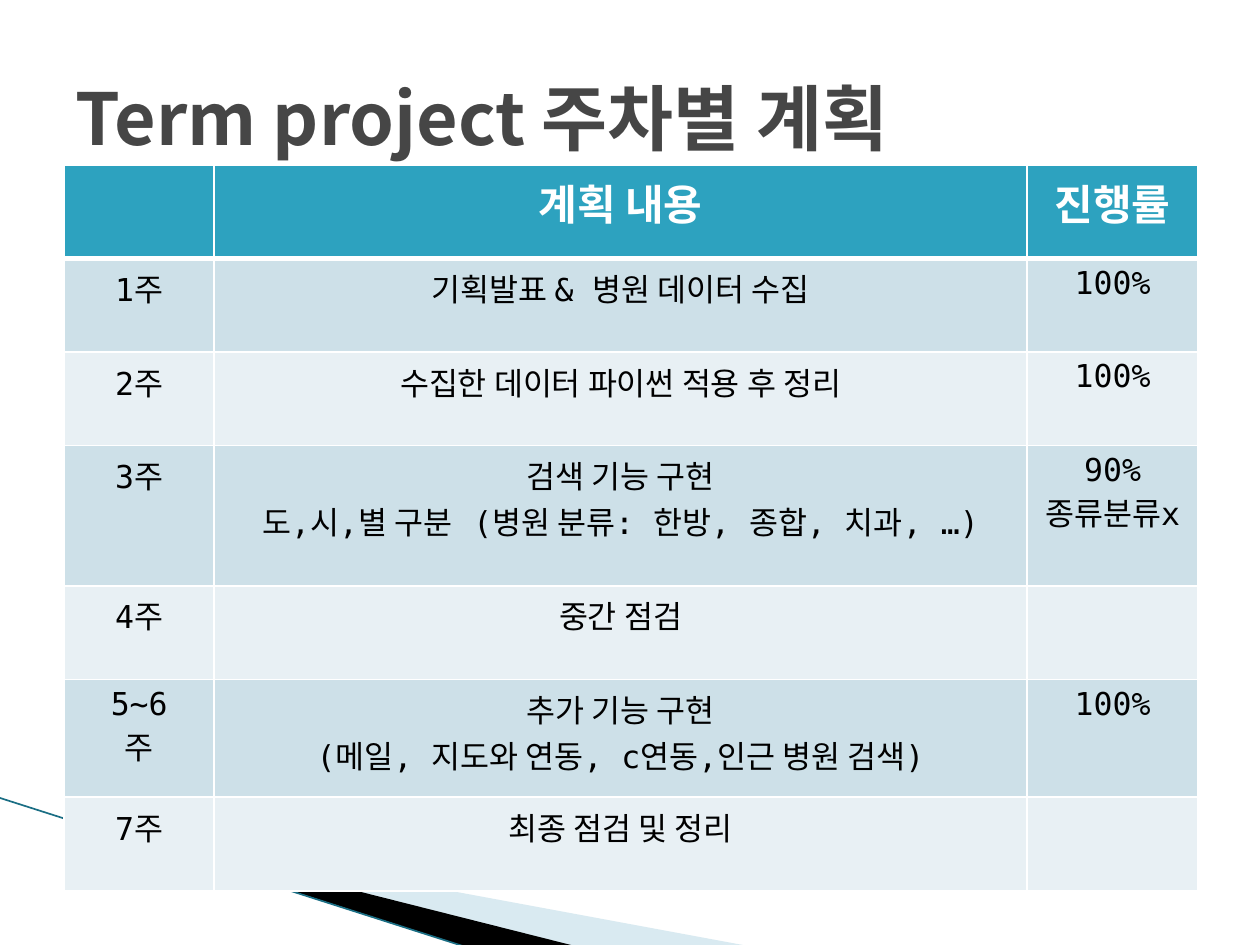
from lxml import etree
from pptx import Presentation
from pptx import util as u
from pptx.dml.color import RGBColor
from pptx.enum import text
from pptx.oxml.ns import qn

MONO, SANS = "DejaVu Sans Mono", "Noto Sans CJK KR"
COLS = [1.19, 6.45, 1.36]
ROWS = [0.74, 0.74, 0.74, 0.74, 0.74, 0.93, 0.74]
PLAN = [
    ("", "계획 내용", "진행률"),
    ("1주", "기획발표 & 병원 데이터 수집", "100%"),
    ("2주", "수집한 데이터 파이썬 적용 후 정리", "100%"),
    ("3주", "검색 기능 구현\n도,시,별 구분   (병원 분류: 한방, 종합, 치과, …)", "90%\n종류분류x"),
    ("4주", "중간 점검", ""),
    ("5~6\n주", "추가 기능 구현\n(메일, 지도와 연동, c연동,인근 병원 검색)", "100%"),
    ("7주", "최종 점검 및 정리", ""),
]


def rgb(value):
    """Turn a hex string into a colour."""
    return RGBColor.from_string(value)


def add_run(p, words, font, size, color, bold):
    """Add one run with its Latin and East Asian fonts."""
    r = p.add_run()
    r.text = words
    f = r.font
    f.name, f.size, f.bold = font, u.Pt(size), bold
    f.color.rgb = rgb(color)
    etree.SubElement(r._r.get_or_add_rPr(), qn("a:ea")).set("typeface", SANS)


def add_ribbon(s, points, color, alpha=None):
    """Add a filled outline through points given in hundredths of an inch."""
    fb = s.shapes.build_freeform(*points[0], scale=u.Inches(0.01))
    fb.add_line_segments(points[1:], close=True)
    sp = fb.convert_to_shape()
    sp.shadow.inherit = False
    sp.line.fill.background()
    sp.fill.solid()
    sp.fill.fore_color.rgb = rgb(color)
    if alpha:
        clr = sp._element.spPr.find(".//" + qn("a:srgbClr"))
        etree.SubElement(clr, qn("a:alpha")).set("val", str(alpha * 1000))


def add_decoration(s):
    """Draw the sweeping ribbons and the edge line at the lower left."""
    add_ribbon(s, [(55, 651), (595, 751), (456, 751), (55, 650)], "A0CBDC", 40)
    add_ribbon(s, [(53, 649), (457, 751), (372, 752), (54, 650)], "000000")
    ends = [u.Inches(v) for v in (-0.01, 6.33, 3.71, 7.52)]
    edge = s.shapes.add_connector(1, *ends)
    edge.line.color.rgb = rgb("1A6E84")
    edge.line.width = u.Pt(0.95)
    etree.SubElement(edge._element.spPr, qn("a:effectLst"))


def add_title(s, words, box):
    """Place and format the title placeholder."""
    sp = s.shapes.title
    sp.left, sp.top, sp.width, sp.height = [u.Inches(v) for v in box]
    tf = sp.text_frame
    tf.word_wrap = True
    tf.vertical_anchor = text.MSO_ANCHOR.MIDDLE
    p = tf.paragraphs[0]
    p.alignment = text.PP_ALIGN.LEFT
    add_run(p, words, SANS, 41, "464646", True)


def set_borders(cell, bottom):
    """Give a cell white borders with the given bottom width."""
    tc_pr = cell._tc.get_or_add_tcPr()
    for i, (side, width) in enumerate(zip("LRTB", (1, 1, 1, bottom))):
        ln = etree.Element(qn("a:ln" + side), w=str(u.Pt(width)))
        fill = etree.SubElement(ln, qn("a:solidFill"))
        etree.SubElement(fill, qn("a:srgbClr")).set("val", "FFFFFF")
        tc_pr.insert(i, ln)


def fill_cell(cell, words, row):
    """Write and colour one cell according to its row."""
    head = row == 0
    cell.fill.solid()
    cell.fill.fore_color.rgb = rgb("2DA2BF" if head else ("E8F0F4", "CDE0E8")[row % 2])
    set_borders(cell, 3 if head else 1)
    tf = cell.text_frame
    for i, line in enumerate(words.split("\n") if words else []):
        p = tf.add_paragraph() if i else tf.paragraphs[0]
        p.alignment = text.PP_ALIGN.CENTER
        add_run(p, line, MONO, 24 if head else 18, "FFFFFF" if head else "000000", head)


def add_plan(s, left, top, width, height):
    """Fit the weekly plan table to its box."""
    box = [u.Inches(v) for v in (left, top, width, height)]
    table = s.shapes.add_table(len(ROWS), len(COLS), *box).table
    for col, share in zip(table.columns, COLS):
        col.width = u.Inches(width * share / sum(COLS))
    for i, (row, share) in enumerate(zip(table.rows, ROWS)):
        row.height = u.Inches(height * share / sum(ROWS))
        for cell, words in zip(row.cells, PLAN[i]):
            fill_cell(cell, words, i)


def main():
    """Build the slide and save it."""
    prs = Presentation()
    prs.slide_width, prs.slide_height = u.Inches(10), u.Inches(7.5)
    s = prs.slides.add_slide(prs.slide_layouts[5])
    add_decoration(s)
    add_title(s, "Term project 주차별 계획", (0.5, 0.3, 9, 1.25))
    add_plan(s, 0.51, 1.31, 9, 5.39)
    prs.save("out.pptx")


if __name__ == "__main__":
    main()
